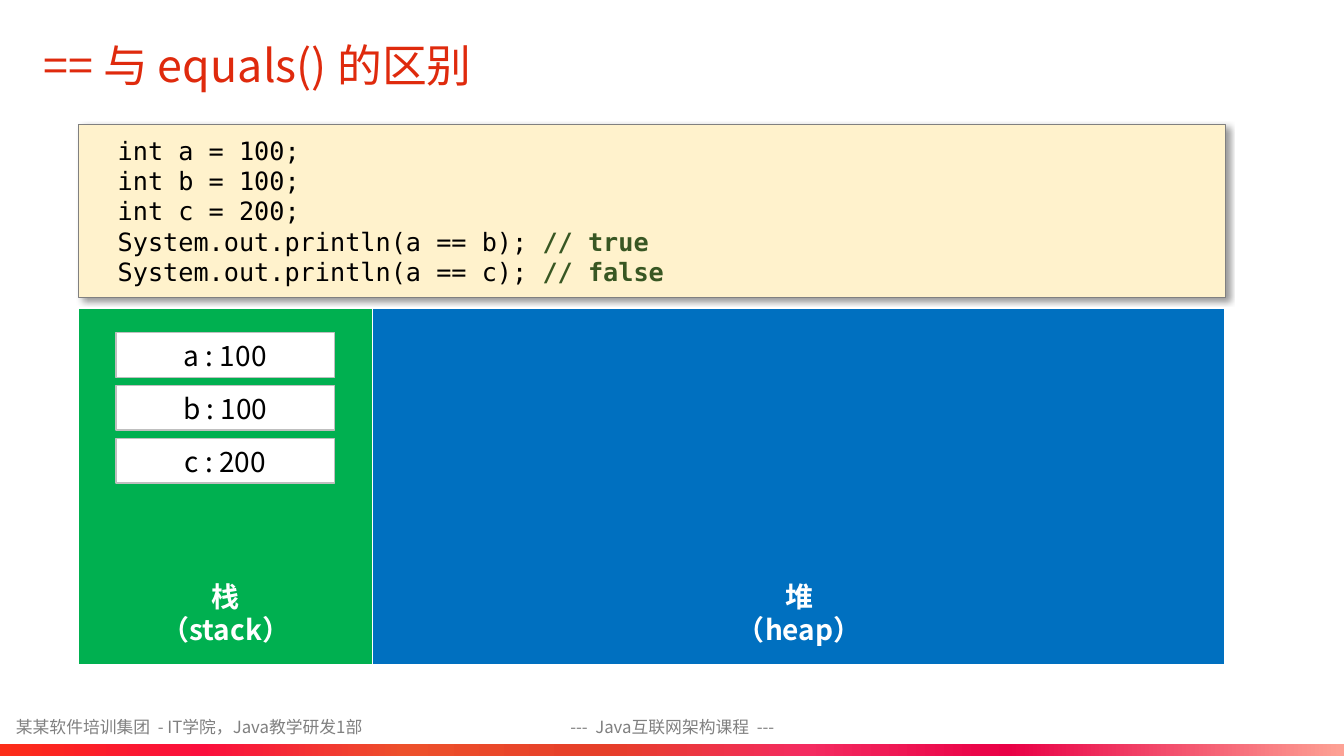
import pptx
import pptx.util
import pptx.dml.color
import pptx.enum.shapes
import pptx.enum.text
import pptx.oxml
import pptx.oxml.ns
import lxml.etree

Pt = pptx.util.Pt
qn = pptx.oxml.ns.qn
Align = pptx.enum.text.PP_ALIGN
SANS = "Noto Sans CJK SC"
MONO = "DejaVu Sans Mono"
COLORS = {
    "title": "DF2A0D", "gray": "808080", "cream": "FFF2CC", "black": "000000",
    "note": "385723", "stack": "00B050", "heap": "0070C0", "white": "FFFFFF",
    "edge": "BFBFBF",
}
STRIPE = [(0, "FC2D18"), (15, "FB0F3D"), (30, "ED502B"), (45, "E63F29"),
          (60, "F42B60"), (75, "E90046"), (100, "FDA295")]
CODE = [("int a = 100;", ""), ("int b = 100;", ""), ("int c = 200;", ""),
        ("System.out.println(a == b);", " // true"),
        ("System.out.println(a == c);", " // false")]


def rgb(name):
    return pptx.dml.color.RGBColor.from_string(COLORS[name])


def style(font, size, color, face=SANS, bold=False):
    font.size = Pt(size)
    font.bold = bold
    font.name = face
    font.color.rgb = rgb(color)
    east = lxml.etree.SubElement(font._element, qn("a:ea"))
    east.set("typeface", face)


def write(shape, lines, size, color, align=Align.LEFT, bold=False):
    frame = shape.text_frame
    frame.word_wrap = True
    frame.vertical_anchor = pptx.enum.text.MSO_ANCHOR.MIDDLE
    frame.text = "\n".join(lines)
    for para in frame.paragraphs:
        para.alignment = align
        style(para.font, size, color, bold=bold)


def label(slide, box, lines, size, color, align=Align.LEFT, bold=False):
    shape = slide.shapes.add_textbox(*map(Pt, box))
    write(shape, lines, size, color, align, bold)


def block(slide, box, fill, edge=None, width=1):
    kind = pptx.enum.shapes.MSO_SHAPE.RECTANGLE
    shape = slide.shapes.add_shape(kind, *map(Pt, box))
    shape.shadow.inherit = False
    shape.fill.solid()
    shape.fill.fore_color.rgb = rgb(fill)
    if edge:
        shape.line.color.rgb = rgb(edge)
        shape.line.width = Pt(width)
    else:
        shape.line.fill.background()
    return shape


def stripe(slide, box):
    shape = block(slide, box, "white")
    shape.fill.gradient()
    shape.fill.gradient_angle = 0
    stops = shape._element.spPr.find(".//" + qn("a:gsLst"))
    for stop in list(stops):
        stops.remove(stop)
    for place, color in STRIPE:
        stop = lxml.etree.SubElement(stops, qn("a:gs"), pos=str(place * 1000))
        lxml.etree.SubElement(stop, qn("a:srgbClr"), val=color)


def shade(shape):
    effects = shape._element.spPr.find(qn("a:effectLst"))
    outer = lxml.etree.SubElement(
        effects, qn("a:outerShdw"), blurRad=str(Pt(4)), dist=str(Pt(3)),
        dir=str(45 * 60000), algn="tl", rotWithShape="0")
    tint = lxml.etree.SubElement(outer, qn("a:srgbClr"), val=COLORS["black"])
    lxml.etree.SubElement(tint, qn("a:alpha"), val="40000")


def code(slide, box):
    frame = slide.shapes.add_textbox(*map(Pt, box)).text_frame
    frame.word_wrap = True
    frame.vertical_anchor = pptx.enum.text.MSO_ANCHOR.MIDDLE
    for row, (text, note) in enumerate(CODE):
        para = frame.add_paragraph() if row else frame.paragraphs[0]
        style(para.font, 18, "black", MONO)
        para.add_run().text = text
        if note:
            run = para.add_run()
            run.text = note
            style(run.font, 18, "note", MONO, True)


def main():
    deck = pptx.Presentation()
    deck.slide_width, deck.slide_height = Pt(960), Pt(540)
    slide = deck.slides.add_slide(deck.slide_layouts[6])

    label(slide, (4.3, 507.6, 318, 22.5),
          ["某某软件培训集团  - IT学院，Java教学研发1部"], 12, "gray")
    label(slide, (356.4, 507.6, 247.7, 22.8),
          ["---  Java互联网架构课程  ---"], 12, "gray", Align.CENTER)
    stripe(slide, (0, 531.4, 960, 8.6))
    label(slide, (23.8, 20.9, 765, 51), ["== 与 equals() 的区别"], 32, "title")

    shade(block(slide, (56.2, 89, 819.2, 123.3), "cream", "gray", 0.5))
    code(slide, (77, 99.4, 777, 102.2))

    areas = [(56.2, 209.8, "stack", "栈", 104.4),
             (266, 609, "heap", "堆", 514)]
    for left, width, fill, _, _ in areas:
        block(slide, (left, 220.4, width, 254.6), fill, "white")
    for _, _, name, word, left in areas:
        label(slide, (left, 410.4, 113.8, 54.8), [word, f"（{name}）"],
              20, "white", Align.CENTER, True)

    for row, text in enumerate(["a : 100", "b : 100", "c : 200"]):
        cell = block(slide, (82.8, 237.7 + row * 37.8, 156.3, 31.8),
                     "white", "edge")
        write(cell, [text], 20, "black", Align.CENTER)

    deck.save("out.pptx")


main()
